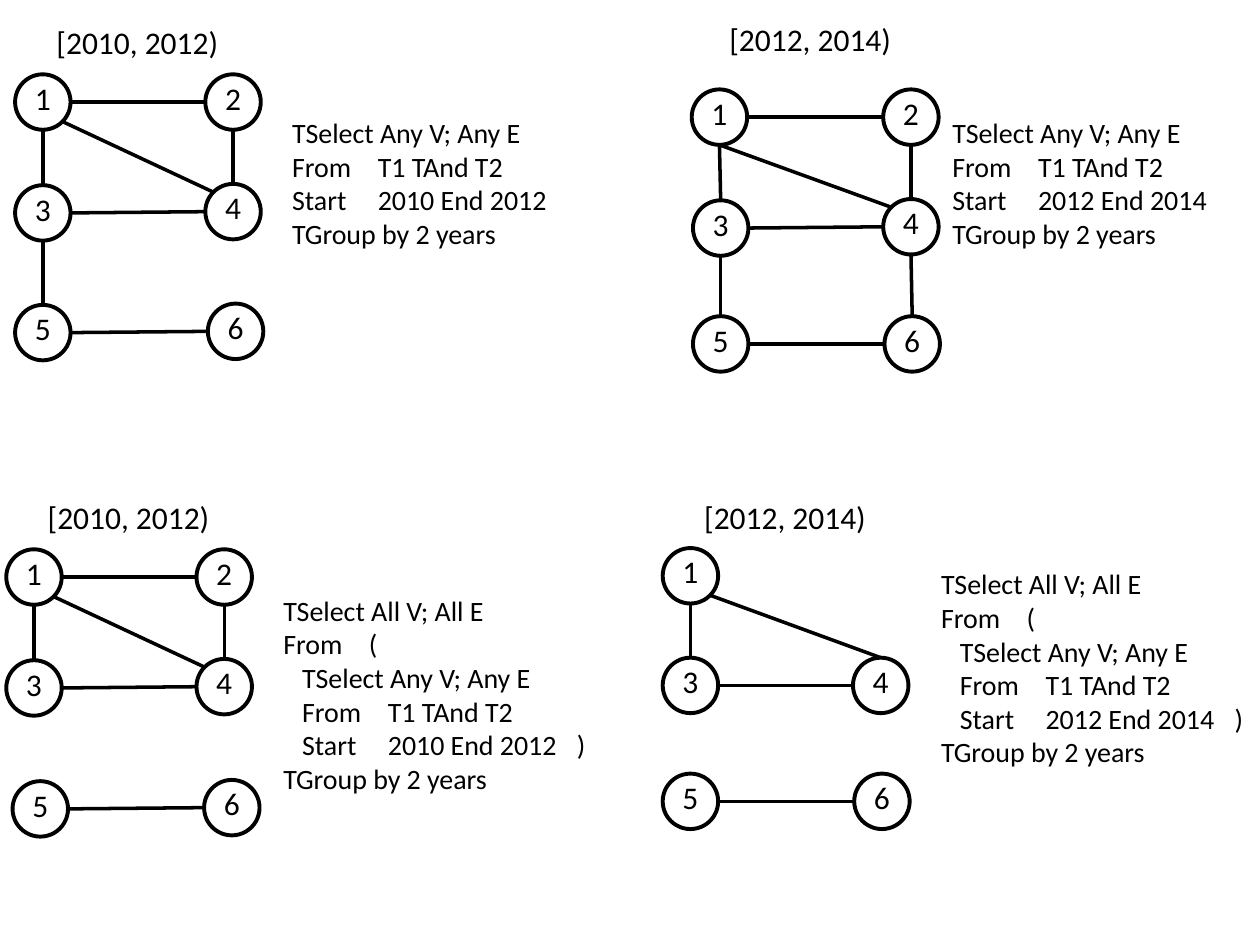
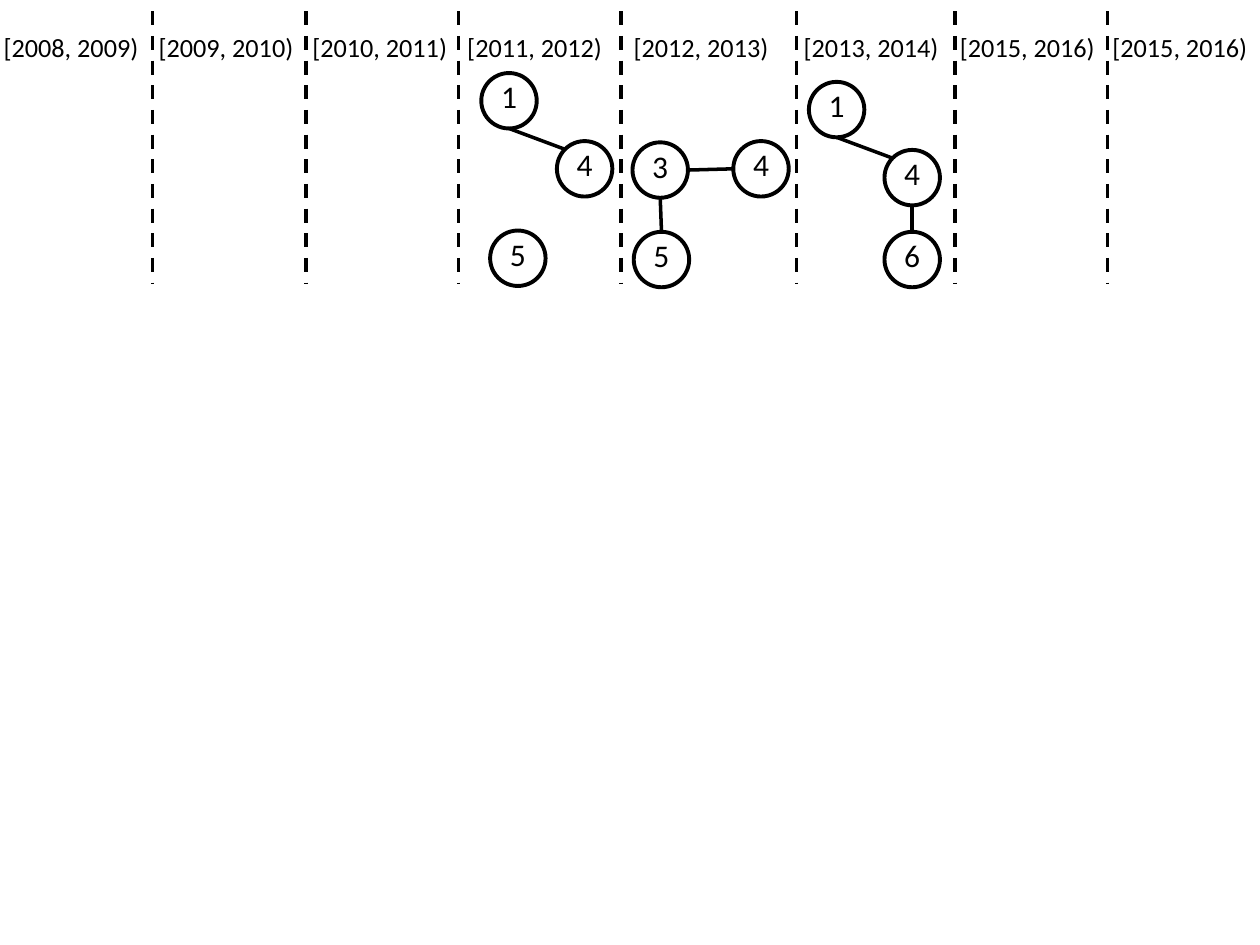
"""Build two slides of temporal graphs: grouped query results and yearly snapshots."""
from lxml import etree
from pptx import Presentation
from pptx import util as u
from pptx.dml.color import RGBColor
from pptx.enum import dml, shapes, text
from pptx.oxml import ns

COLORS = {"ink": "000000"}
INK = RGBColor.from_string(COLORS["ink"])
FONT = "Calibri"
NODE = 0.44
SITES = {
    "top": (0.5, 0), "bottom": (0.5, 1), "left": (0, 0.5), "right": (1, 0.5),
    "upper left": (0.15, 0.15), "lower right": (0.85, 0.85),
}
EDGES = {
    "across": ("right", "left"),
    "down": ("bottom", "top"),
    "diagonal": ("lower right", "upper left"),
    "slant": ("bottom", "upper left"),
    "steep": ("lower right", "top"),
}


def write(shape, lines, size, align=text.PP_ALIGN.LEFT):
    """Fill a shape with lines, aligning tabbed columns to the query layout."""
    frame = shape.text_frame
    frame.word_wrap = False
    for index, line in enumerate(lines):
        para = frame.paragraphs[0] if index == 0 else frame.add_paragraph()
        para.text = line
        para.alignment = align
        if "\t" in line:
            stops = (0.15, 0.83, 2.33) if line.startswith("\t") else (0.68,)
            tabs = etree.SubElement(para._p.get_or_add_pPr(), ns.qn("a:tabLst"))
            for stop in stops:
                etree.SubElement(tabs, ns.qn("a:tab"), pos=str(u.Inches(stop)), algn="l")
        para.font.name = FONT
        para.font.size = u.Pt(size)
        para.font.color.rgb = INK


def add_line(page, start, end):
    """Draw a plain straight line between two points in inches."""
    points = [u.Inches(value) for value in (*start, *end)]
    line = page.shapes.add_connector(shapes.MSO_CONNECTOR.STRAIGHT, *points)
    line.line.color.rgb = INK
    line.line.width = u.Pt(2)
    etree.SubElement(line._element.spPr, ns.qn("a:effectLst"))
    return line


deck = Presentation()
deck.slide_width, deck.slide_height = u.Inches(10), u.Inches(7.5)
groups_page, years_page = [deck.slides.add_slide(deck.slide_layouts[6]) for _ in range(2)]

graphs = [
    (groups_page,
     {1: (0.12, 0.59), 2: (1.63, 0.59), 3: (0.12, 1.47), 4: (1.63, 1.46), 5: (0.12, 2.42), 6: (1.65, 2.41)},
     {"across": [(1, 2), (3, 4), (5, 6)], "down": [(1, 3), (2, 4), (3, 5)], "diagonal": [(1, 4)]}),
    (groups_page,
     {1: (5.49, 0.71), 2: (7.01, 0.71), 3: (5.5, 1.59), 4: (7.01, 1.58), 5: (5.5, 2.51), 6: (7.02, 2.51)},
     {"across": [(1, 2), (3, 4), (5, 6)], "down": [(1, 3), (2, 4), (3, 5), (4, 6)], "slant": [(1, 4)]}),
    (groups_page,
     {1: (0.05, 4.36), 2: (1.56, 4.36), 3: (0.05, 5.24), 4: (1.56, 5.23), 5: (0.1, 6.2), 6: (1.62, 6.19)},
     {"across": [(1, 2), (3, 4), (5, 6)], "down": [(1, 3), (2, 4)], "diagonal": [(1, 4)]}),
    (groups_page,
     {1: (5.26, 4.35), 3: (5.26, 5.22), 4: (6.77, 5.22), 5: (5.26, 6.14), 6: (6.78, 6.14)},
     {"across": [(3, 4), (5, 6)], "down": [(1, 3)], "steep": [(1, 4)]}),
    (years_page,
     {1: (3.82, 0.58), 4: (4.42, 1.12), 5: (3.89, 1.83)},
     {"slant": [(1, 4)]}),
    (years_page,
     {3: (5.02, 1.13), 4: (5.82, 1.12), 5: (5.03, 1.84)},
     {"across": [(3, 4)], "down": [(3, 5)]}),
    (years_page,
     {1: (6.42, 0.65), 4: (7.02, 1.19), 6: (7.02, 1.84)},
     {"slant": [(1, 4)], "down": [(4, 6)]}),
]
for page, nodes, edges in graphs:
    for kind, pairs in edges.items():
        for pair in pairs:
            ends = []
            for node, site in zip(pair, EDGES[kind]):
                (left, top), (across, down) = nodes[node], SITES[site]
                ends.append((left + NODE * across, top + NODE * down))
            add_line(page, *ends)
    for number, (left, top) in nodes.items():
        circle = page.shapes.add_shape(
            shapes.MSO_SHAPE.OVAL, u.Inches(left), u.Inches(top), u.Inches(NODE), u.Inches(NODE))
        circle.shadow.inherit = False
        circle.fill.background()
        circle.line.color.rgb = INK
        circle.line.width = u.Pt(2.25)
        frame = circle.text_frame
        frame.margin_left = frame.margin_right = frame.margin_top = 0
        frame.margin_bottom = u.Inches(0.07)
        frame.vertical_anchor = text.MSO_ANCHOR.MIDDLE
        write(circle, [str(number)], 18, text.PP_ALIGN.CENTER)

labels = []
for left, top, start in [(0.35, 0.13, 2010), (5.69, 0.11, 2012), (0.28, 3.9, 2010), (5.49, 3.9, 2012)]:
    labels.append((groups_page, left, top, 1.5, 0.4, [f"[{start}, {start + 2})"], 18))

group_by = "TGroup by 2 years"
for left, top, start in [(2.22, 0.87, 2010), (7.46, 0.87, 2012)]:
    query = ["TSelect Any V; Any E", "From\tT1 TAnd T2", f"Start\t{start} End {start + 2}", group_by]
    labels.append((groups_page, left, top, 2.25, 1.21, query, 16))
for left, top, start in [(2.15, 4.66, 2010), (7.37, 4.45, 2012)]:
    query = ["TSelect All V; All E", "From\t(", "\tTSelect Any V; Any E", "\tFrom\tT1 TAnd T2",
             f"\tStart\t{start} End {start + 2}\t)", group_by]
    labels.append((groups_page, left, top, 2.62, 1.75, query, 16))

year_columns = [(-0.07, 2008), (1.16, 2009), (2.38, 2010), (3.61, 2011),
                (4.93, 2012), (6.28, 2013), (7.52, 2015), (8.73, 2015)]
for left, start in year_columns:
    labels.append((years_page, left, 0.2, 1.28, 0.35, [f"[{start}, {start + 1})"], 15))

for page, left, top, width, height, lines, size in labels:
    box = page.shapes.add_textbox(u.Inches(left), u.Inches(top), u.Inches(width), u.Inches(height))
    write(box, lines, size)

for x in (1.21, 2.43, 3.64, 4.93, 6.32, 7.58, 8.79):
    divider = add_line(years_page, (x, 0.09), (x, 2.25))
    divider.line.dash_style = dml.MSO_LINE.DASH

deck.save("out.pptx")
